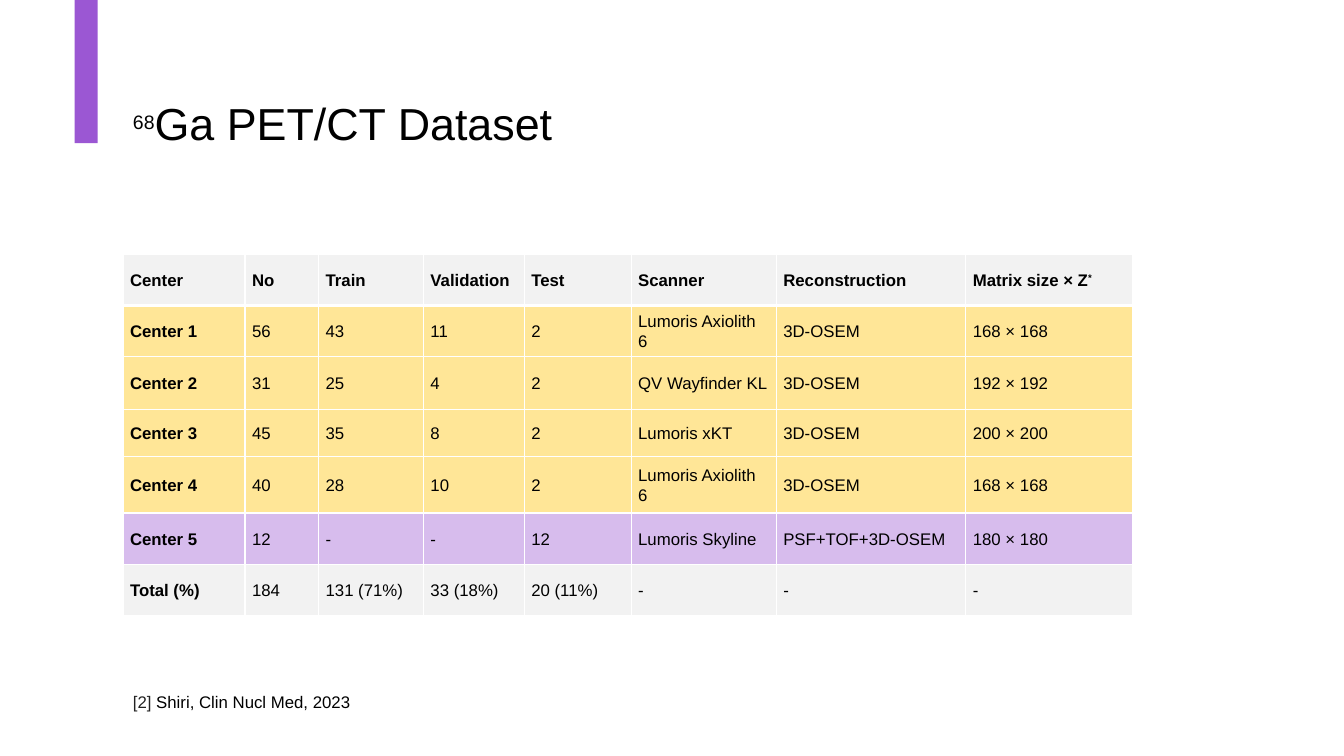
from dataclasses import dataclass
from lxml import etree
from pptx import Presentation
from pptx.dml.color import RGBColor
from pptx.enum.shapes import MSO_SHAPE
from pptx.enum.text import MSO_ANCHOR
from pptx.oxml.ns import qn
from pptx.util import Inches, Pt

RECT = MSO_SHAPE.RECTANGLE
TOP, MIDDLE = MSO_ANCHOR.TOP, MSO_ANCHOR.MIDDLE


@dataclass(frozen=True)
class Theme:
    font: str = "Arial"
    ink: str = "000000"
    mark: str = "222222"
    bar: str = "9B57D3"
    line: str = "FFFFFF"
    plain: str = "F2F2F2"
    gold: str = "FFE697"
    lilac: str = "D7BCED"
    title: int = 32
    mass: int = 24
    body: int = 12


THEME = Theme()
RAISED = {"baseline": "30000"}
WIDTHS = [1.21, 0.73, 1.04, 1, 1.06, 1.44, 1.88, 1.65]
HEIGHTS = [0.51, 0.51, 0.52, 0.47, 0.56, 0.51, 0.51]
FILLS = [THEME.plain] + [THEME.gold] * 4 + [THEME.lilac, THEME.plain]
ROWS = [
    ["Center", "No", "Train", "Validation", "Test", "Scanner", "Reconstruction", "Matrix size × Z"],
    ["Center 1", "56", "43", "11", "2", "Lumoris Axiolith 6", "3D-OSEM", "168 × 168"],
    ["Center 2", "31", "25", "4", "2", "QV Wayfinder KL", "3D-OSEM", "192 × 192"],
    ["Center 3", "45", "35", "8", "2", "Lumoris xKT", "3D-OSEM", "200 × 200"],
    ["Center 4", "40", "28", "10", "2", "Lumoris Axiolith 6", "3D-OSEM", "168 × 168"],
    ["Center 5", "12", "-", "-", "12", "Lumoris Skyline", "PSF+TOF+3D-OSEM", "180 × 180"],
    ["Total (%)", "184", "131 (71%)", "33 (18%)", "20 (11%)", "-", "-", "-"],
]


def apply(item, values):
    for name, value in values.items():
        setattr(item, name, value)


def add_run(para, text, size, color=THEME.ink, bold=False, extra=None):
    run = para.add_run()
    run.text = text
    apply(run.font, {"name": THEME.font, "size": Pt(size), "bold": bold})
    run.font.color.rgb = RGBColor.from_string(color)
    for name, value in (extra or {}).items():
        run._r.get_or_add_rPr().set(name, value)


def add_text(slide, box, anchor):
    frame = slide.shapes.add_textbox(*map(Inches, box)).text_frame
    apply(frame, {"word_wrap": True, "vertical_anchor": anchor})
    return frame.paragraphs[0]


def add_bar(slide, box):
    bar = slide.shapes.add_shape(RECT, *map(Inches, box))
    bar.shadow.inherit = False
    bar.fill.solid()
    bar.fill.fore_color.rgb = RGBColor.from_string(THEME.bar)
    bar.line.fill.background()


def add_title(slide, box):
    para = add_text(slide, box, MIDDLE)
    para.line_spacing = 0.9
    add_run(para, "68", THEME.mass, extra=RAISED)
    add_run(para, "Ga PET/CT Dataset", THEME.title)


def add_edges(cell, row):
    widths = {"L": 1, "R": 1, "T": 3 if row == 1 else 1, "B": 3 if row == 0 else 1}
    props = cell._tc.get_or_add_tcPr()
    for side, width in widths.items():
        edge = etree.SubElement(props, qn(f"a:ln{side}"), w=str(Pt(width)))
        fill = etree.SubElement(edge, qn("a:solidFill"))
        etree.SubElement(fill, qn("a:srgbClr"), val=THEME.line)


def fill_cell(cell, text, row, col):
    apply(cell, {
        "vertical_anchor": MIDDLE,
        "margin_left": Inches(0.07),
        "margin_right": Inches(0.07),
        "margin_top": 0,
        "margin_bottom": 0,
    })
    add_edges(cell, row)
    cell.fill.solid()
    cell.fill.fore_color.rgb = RGBColor.from_string(FILLS[row])
    para = cell.text_frame.paragraphs[0]
    apply(para, {"line_spacing": 1.07, "space_after": Pt(8)})
    add_run(para, text, THEME.body, bold=row == 0 or col == 0)
    return para


def add_data(slide, box):
    frame = slide.shapes.add_table(len(ROWS), len(WIDTHS), *map(Inches, box))
    table = frame.table
    apply(table, {"first_row": False, "horz_banding": False})
    for col, width in zip(table.columns, WIDTHS):
        col.width = Inches(width)
    for line, height in zip(table.rows, HEIGHTS):
        line.height = Inches(height)
    for row, texts in enumerate(ROWS):
        for col, text in enumerate(texts):
            para = fill_cell(table.cell(row, col), text, row, col)
            if row == 0 and col == len(WIDTHS) - 1:
                add_run(para, "*", THEME.body, bold=True, extra=RAISED)


def add_source(slide, box):
    para = add_text(slide, box, TOP)
    add_run(para, "[2] ", THEME.body, THEME.mark)
    add_run(para, "Shiri, Clin Nucl Med, 2023", THEME.body)


def main():
    deck = Presentation()
    apply(deck, {"slide_width": Inches(13.33), "slide_height": Inches(7.5)})
    slide = deck.slides.add_slide(deck.slide_layouts[6])
    left = 1.22
    add_bar(slide, (0.74, 0, 0.23, 1.42))
    add_title(slide, (left, 0.6, 11.12, 1.29))
    add_data(slide, (left, 2.52, sum(WIDTHS), sum(HEIGHTS)))
    add_source(slide, (left, 6.81, 6.67, 0.3))
    deck.save("out.pptx")


if __name__ == "__main__":
    main()
